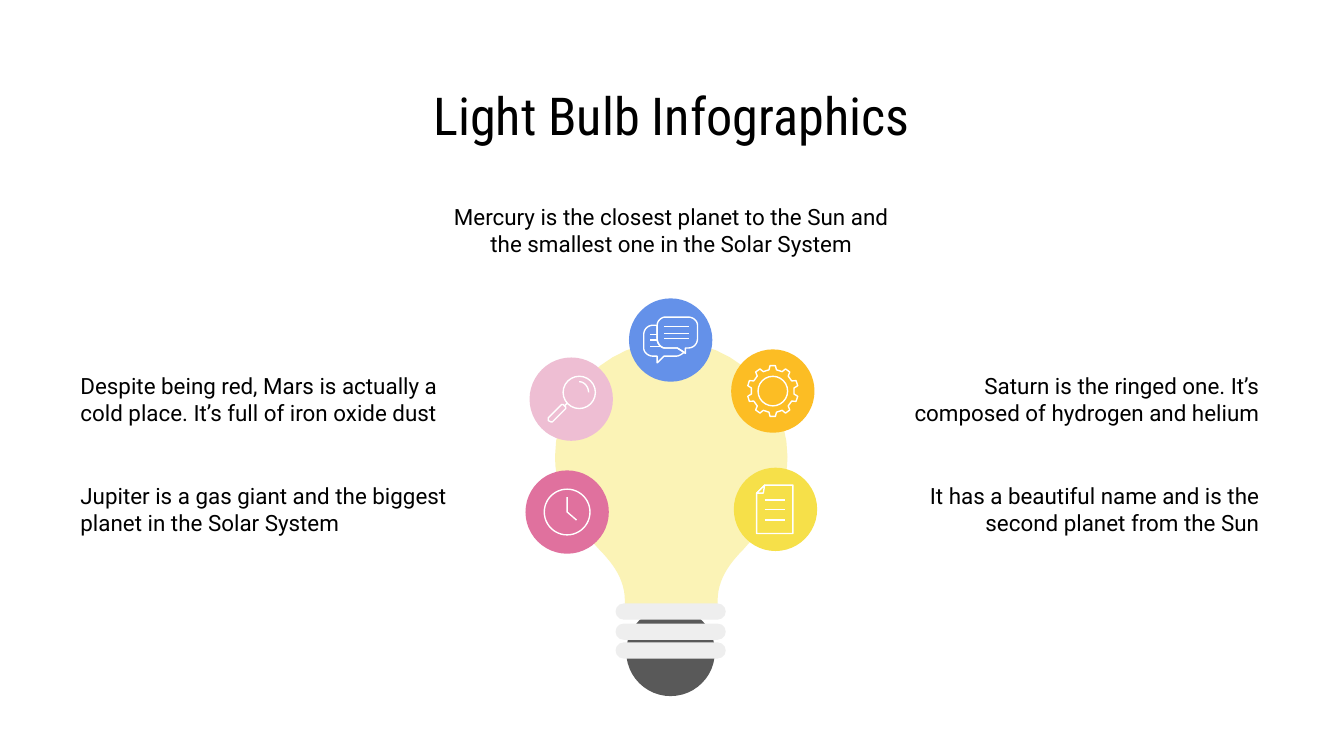
from math import cos, radians, sin

from lxml import etree
from pptx import Presentation
from pptx.dml.color import RGBColor
from pptx.enum import shapes, text
from pptx.oxml import ns
from pptx.util import Inches, Pt

BLACK = RGBColor(0x00, 0x00, 0x00)
WHITE = RGBColor(0xFF, 0xFF, 0xFF)
CREAM = RGBColor(0xFB, 0xF3, 0xB6)
BLUE = RGBColor(0x64, 0x91, 0xE9)
ROSE = RGBColor(0xEE, 0xBE, 0xD3)
AMBER = RGBColor(0xFC, 0xBD, 0x24)
YELLOW = RGBColor(0xF6, 0xE0, 0x49)
PINK = RGBColor(0xE0, 0x71, 0x9E)
DARK = RGBColor(0x59, 0x59, 0x59)
PALE = RGBColor(0xEE, 0xEE, 0xEE)

KIND = shapes.MSO_SHAPE
LEFT, MID, RIGHT = text.PP_ALIGN.LEFT, text.PP_ALIGN.CENTER, text.PP_ALIGN.RIGHT
TOP, CENTER = text.MSO_ANCHOR.TOP, text.MSO_ANCHOR.MIDDLE


def trace(start, *parts, steps=12):
    """Points along a path; a part is a line (x, y) or a cubic curve of six numbers."""
    pts = [start]
    for part in parts:
        if len(part) == 2:
            pts.append(part)
            continue
        x, y = pts[-1]
        a, b, c, d, e, f = part
        for i in range(1, steps + 1):
            t = i / steps
            s = 1 - t
            k = (s**3, 3 * s * s * t, 3 * s * t * t, t**3)
            pts.append((k[0] * x + k[1] * a + k[2] * c + k[3] * e,
                        k[0] * y + k[1] * b + k[2] * d + k[3] * f))
    return pts


def polar(x, y, r, deg):
    return x + r * cos(radians(deg)), y + r * sin(radians(deg))


class Board:
    """Holds the style and the current slide."""

    def __init__(self, slide):
        self.shapes = slide.shapes
        self.font = "Roboto"
        self.stroke = Pt(0.75)

    def paint(self, shape, fill):
        """Fill the shape, or give it a white outline when fill is None."""
        shape.shadow.inherit = False
        if fill is None:
            shape.fill.background()
            shape.line.color.rgb = WHITE
            shape.line.width = self.stroke
        else:
            shape.fill.solid()
            shape.fill.fore_color.rgb = fill
            shape.line.fill.background()

    def disc(self, x, y, r, fill=None):
        box = [Inches(v) for v in (x - r, y - r, 2 * r, 2 * r)]
        self.paint(self.shapes.add_shape(KIND.OVAL, *box), fill)

    def band(self, x, y, w, h, fill):
        box = [Inches(v) for v in (x, y, w, h)]
        shape = self.shapes.add_shape(KIND.ROUNDED_RECTANGLE, *box)
        shape.adjustments[0] = 0.5
        self.paint(shape, fill)

    def shape(self, pts, fill=None, close=True):
        spots = [(Inches(x), Inches(y)) for x, y in pts]
        pen = self.shapes.build_freeform(*spots[0])
        pen.add_line_segments(spots[1:], close=close)
        self.paint(pen.convert_to_shape(), fill)

    def line(self, x1, y1, x2, y2):
        ends = [Inches(v) for v in (x1, y1, x2, y2)]
        line = self.shapes.add_connector(shapes.MSO_CONNECTOR.STRAIGHT, *ends)
        line.line.color.rgb = WHITE
        line.line.width = self.stroke
        etree.SubElement(line._element.spPr, ns.qn("a:effectLst"))

    def label(self, words, box, align, anchor=TOP, size=12, font=None):
        frame = self.shapes.add_textbox(*[Inches(v) for v in box]).text_frame
        frame.word_wrap = True
        frame.vertical_anchor = anchor
        frame.margin_left = frame.margin_right = Inches(0.1)
        frame.margin_top = frame.margin_bottom = Inches(0.1)
        par = frame.paragraphs[0]
        par.alignment = align
        run = par.add_run()
        run.text = words
        run.font.size = Pt(size)
        run.font.name = font or self.font
        run.font.color.rgb = BLACK


def bulb(board):
    half = trace((4.99, 2.54), (4.52, 2.54, 4.13, 2.93, 4.13, 3.4),
                 (4.13, 3.68, 4.29, 3.9, 4.46, 4.09),
                 (4.57, 4.2, 4.65, 4.32, 4.65, 4.47), (4.65, 4.53))
    board.shape(half + [(9.99 - x, y) for x, y in reversed(half)], CREAM)


def socket(board):
    board.disc(4.99, 4.85, 0.33, DARK)
    for y in (4.49, 4.64, 4.78):
        board.band(4.58, y, 0.82, 0.12, PALE)


def chat(board):
    board.shape(trace(
        (5.12, 2.36), (4.95, 2.36), (4.92, 2.36, 4.89, 2.39, 4.89, 2.42),
        (4.89, 2.52), (4.89, 2.56, 4.92, 2.59, 4.95, 2.59), (5.04, 2.59),
        (5.1, 2.63), (5.1, 2.59), (5.12, 2.59),
        (5.16, 2.59, 5.19, 2.56, 5.19, 2.52), (5.19, 2.42),
        (5.19, 2.39, 5.16, 2.36, 5.12, 2.36)))
    board.shape(trace(
        (5.04, 2.59), (4.95, 2.59), (4.92, 2.59, 4.89, 2.56, 4.89, 2.52),
        (4.89, 2.42), (4.86, 2.42), (4.82, 2.42, 4.79, 2.45, 4.79, 2.49),
        (4.79, 2.59), (4.79, 2.62, 4.82, 2.65, 4.86, 2.65), (4.89, 2.65),
        (4.89, 2.7), (4.94, 2.65), (5.03, 2.65),
        (5.05, 2.65, 5.07, 2.64, 5.09, 2.62)))
    for y in (2.43, 2.48, 2.52):
        board.line(4.94, y, 5.13, y)
    for y, end in ((2.49, 4.89), (2.53, 4.89), (2.58, 4.92)):
        board.line(4.84, y, end, y)


def lens(board):
    board.disc(4.31, 2.92, 0.12)
    board.shape(trace(
        (4.1, 3.14), (4.08, 3.13), (4.08, 3.12, 4.08, 3.11, 4.08, 3.11),
        (4.18, 3.01), (4.19, 3.01), (4.21, 3.03), (4.21, 3.04), (4.11, 3.14)))
    board.line(4.2, 3.02, 4.22, 3)
    board.shape(trace((4.31, 2.84), (4.35, 2.84, 4.38, 2.88, 4.38, 2.92)), close=False)


def gear(board):
    x, y, teeth = 5.75, 2.91, 10
    rim = ((0.16, -10), (0.19, -6), (0.19, 6), (0.16, 10))
    board.shape([polar(x, y, r, 360 / teeth * i - 90 + turn)
                 for i in range(teeth) for r, turn in rim])
    board.disc(x, y, 0.11)


def page(board):
    board.shape([(5.9, 3.97), (5.63, 3.97), (5.63, 3.67), (5.69, 3.61), (5.9, 3.61)])
    for y in (3.72, 3.79, 3.87):
        board.line(5.69, y, 5.84, y)
    board.shape([(5.68, 3.67), (5.69, 3.61), (5.63, 3.67)])


def clock(board):
    board.disc(4.22, 3.81, 0.17)
    board.shape([(4.22, 3.7), (4.22, 3.81), (4.29, 3.87)], close=False)


def main():
    deck = Presentation()
    deck.slide_width = Inches(10)
    deck.slide_height = deck.slide_width * 9 // 16
    board = Board(deck.slides.add_slide(deck.slide_layouts[6]))

    board.label("Light Bulb Infographics", (3.12, 0.59, 3.75, 0.53), MID,
                CENTER, 28, "Roboto Condensed")
    bulb(board)
    for x, y, fill, icon in ((4.99, 2.53, BLUE, chat), (4.25, 2.97, ROSE, lens),
                             (5.75, 2.91, AMBER, gear), (5.77, 3.79, YELLOW, page),
                             (4.22, 3.81, PINK, clock)):
        board.disc(x, y, 0.31, fill)
        icon(board)
    socket(board)

    for words, box, align, anchor in (
        ("Despite being red, Mars is actually a cold place. It’s full of iron oxide dust",
         (0.5, 2.67, 2.95, 0.57), LEFT, TOP),
        ("It has a beautiful name and is the second planet from the Sun",
         (6.54, 3.5, 2.93, 0.57), RIGHT, CENTER),
        ("Saturn is the ringed one. It’s composed of hydrogen and helium",
         (6.54, 2.67, 2.93, 0.57), RIGHT, TOP),
        ("Jupiter is a gas giant and the biggest planet in the Solar System",
         (0.5, 3.5, 2.95, 0.57), LEFT, CENTER),
        ("Mercury is the closest planet to the Sun and the smallest one in the Solar System",
         (3.24, 1.41, 3.51, 0.57), MID, TOP),
    ):
        board.label(words, box, align, anchor)
    deck.save("out.pptx")


if __name__ == "__main__":
    main()
